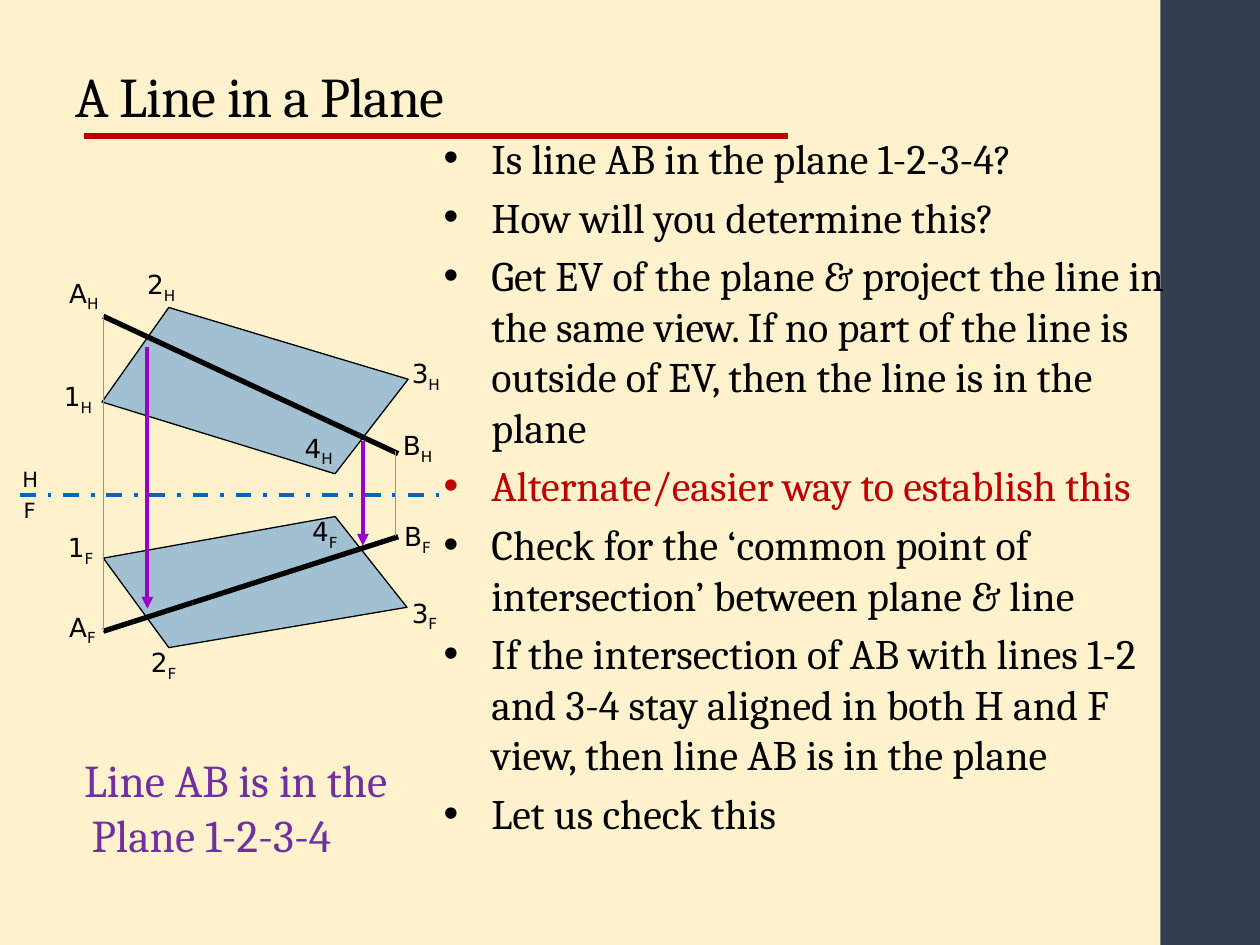
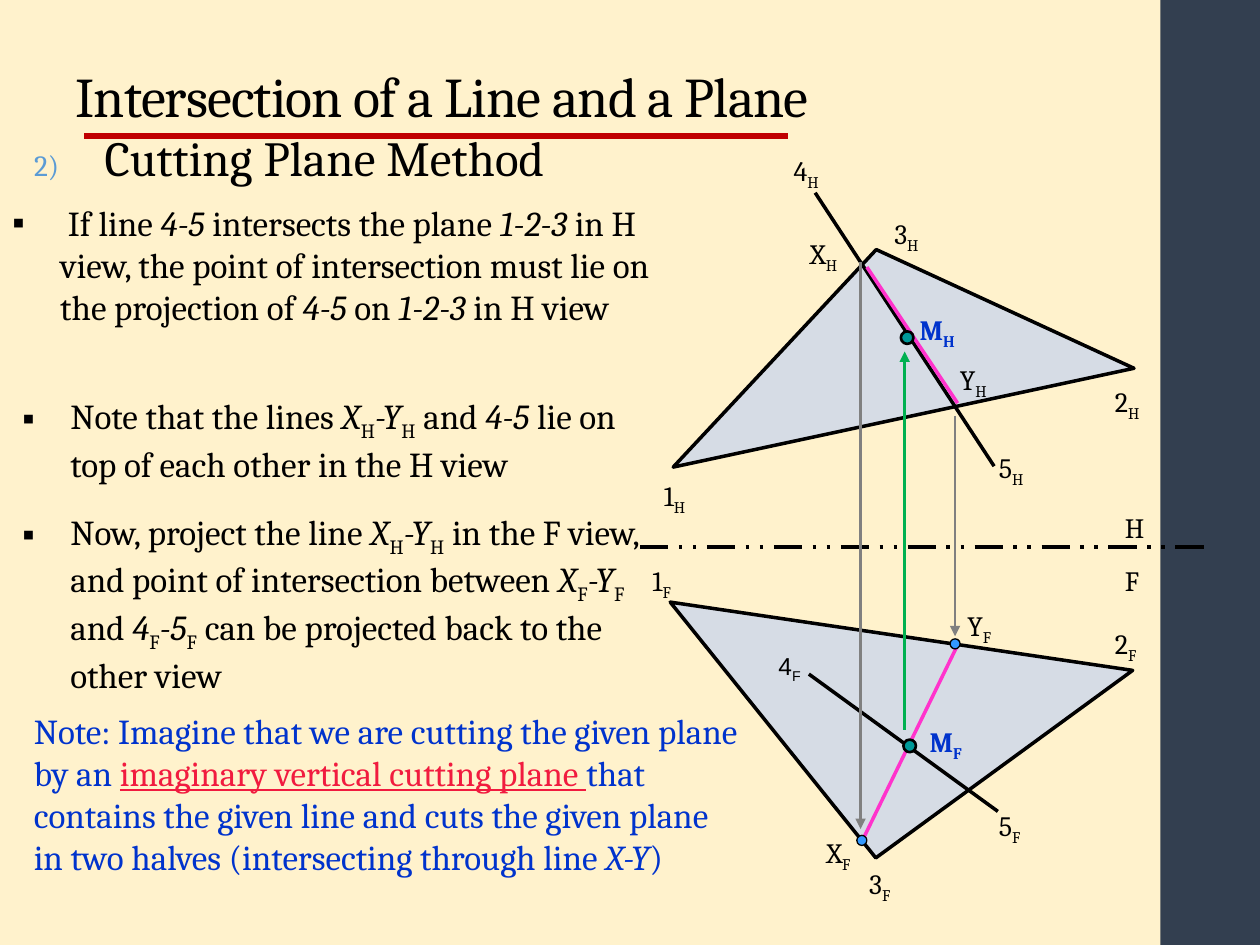
from collections import namedtuple

from lxml.etree import SubElement
from pptx import Presentation
from pptx.dml.color import RGBColor
from pptx.enum.dml import MSO_LINE
from pptx.enum.shapes import MSO_CONNECTOR, MSO_SHAPE
from pptx.enum.text import MSO_ANCHOR, MSO_AUTO_SIZE, PP_ALIGN
from pptx.oxml.ns import qn
from pptx.util import Pt

PX = 9144  # EMU in one px, 100 px to the inch

CREAM = RGBColor(0xFF, 0xF2, 0xCC)
NAVY = RGBColor(0x33, 0x3F, 0x50)
RED = RGBColor(0xC0, 0x00, 0x00)
BLACK = RGBColor(0x00, 0x00, 0x00)
SKY = RGBColor(0x5B, 0x9B, 0xD5)
PALE = RGBColor(0xD6, 0xDC, 0xE5)
VIOLET = RGBColor(0x99, 0x00, 0xCC)
PURPLE = RGBColor(0x70, 0x30, 0xA0)
FOLD_BLUE = RGBColor(0x05, 0x63, 0xC1)
ORANGE = RGBColor(0xED, 0x7D, 0x31)
GRAY = RGBColor(0x80, 0x80, 0x80)
GREEN = RGBColor(0x00, 0xB0, 0x50)
PINK = RGBColor(0xFF, 0x33, 0xCC)
DOT_BLUE = RGBColor(0x33, 0x99, 0xFF)
TEAL = RGBColor(0x00, 0x99, 0x99)
NOTE_BLUE = RGBColor(0x00, 0x33, 0xCC)
CRIMSON = RGBColor(0xF1, 0x1B, 0x3F)

Box = namedtuple("Box", "left top width height")
SLIDE = Box(0, 0, 1000, 750)


def inside(box, x, y):
    return box.left + x, box.top + y


def write(para, text, size=20, color=BLACK, font="Cambria", bold=False,
          underline=False, spacing=0):
    """Add text in which *...* is italic and ~...~ is subscript."""
    for i, piece in enumerate(text.split("*")):
        for j, part in enumerate(piece.split("~")):
            if not part:
                continue
            span = para.add_run()
            span.text = part
            span.font.size = Pt(size)
            span.font.name = font
            span.font.color.rgb = color
            span.font.bold = bold
            span.font.italic = i % 2 == 1
            span.font.underline = underline
            properties = span.font._element
            if j % 2:
                properties.set("baseline", "-25000")
            if spacing:
                properties.set("spc", str(spacing))


def set_indent(para, margin, first):
    properties = para._p.get_or_add_pPr()
    properties.set("marL", str(margin * PX))
    properties.set("indent", str(first * PX))
    return properties


def set_bullet(para, symbol, margin=38):
    properties = set_indent(para, margin, -margin)
    SubElement(properties, qn("a:buFont"), typeface="Arial")
    SubElement(properties, qn("a:buChar"), char=symbol)


def set_number(para, start, margin):
    properties = set_indent(para, margin, -margin)
    color = SubElement(properties, qn("a:buClr"))
    SubElement(color, qn("a:srgbClr"), val=str(SKY))
    SubElement(properties, qn("a:buSzPct"), val="60000")
    SubElement(properties, qn("a:buAutoNum"), type="arabicParenR", startAt=str(start))


def place(shape, box):
    shape.left, shape.top, shape.width, shape.height = (n * PX for n in box)


def set_frame(shape, anchor=MSO_ANCHOR.TOP):
    """Prepare a text frame and return its first paragraph."""
    frame = shape.text_frame
    frame.word_wrap = True
    frame.auto_size = MSO_AUTO_SIZE.NONE
    frame.vertical_anchor = anchor
    para = frame.paragraphs[0]
    para.alignment = PP_ALIGN.LEFT
    para.space_before = Pt(0)
    return para


def add_text(page, box):
    return set_frame(page.shapes.add_textbox(*(n * PX for n in box)))


def add_labels(page, box, labels, **style):
    for text, x, y in labels:
        write(add_text(page, Box(*inside(box, x, y), 50, 36)), text, **style)


def paint(shape, fill, line=None, width=1):
    shape.shadow.inherit = False
    shape.fill.solid()
    shape.fill.fore_color.rgb = fill
    if line is None:
        shape.line.fill.background()
    else:
        shape.line.color.rgb = line
        shape.line.width = Pt(width)


def add_preset(page, kind, box, fill, line=None, width=1):
    shape = page.shapes.add_shape(kind, *(n * PX for n in box))
    paint(shape, fill, line, width)
    return shape


def add_line(page, box, start, end, color=BLACK, width=2, dash=None, arrow=False):
    ends = [n * PX for n in inside(box, *start) + inside(box, *end)]
    line = page.shapes.add_connector(MSO_CONNECTOR.STRAIGHT, *ends)
    line.line.color.rgb = color
    line.line.width = Pt(width)
    if dash:
        line.line.dash_style = dash
    properties = line.element.spPr
    if arrow:
        SubElement(properties.get_or_add_ln(), qn("a:tailEnd"), type="triangle")
    SubElement(properties, qn("a:effectLst"))
    return line


def add_plane(page, box, corners):
    points = [inside(box, *corner) for corner in corners]
    builder = page.shapes.build_freeform(*points[0], scale=PX)
    builder.add_line_segments(points[1:], close=True)
    plane = builder.convert_to_shape()
    paint(plane, SKY, BLACK, 0.75)
    color = plane.element.spPr.find(".//" + qn("a:srgbClr"))
    SubElement(color, qn("a:alpha"), val="57000")


def add_triangle(page, box, rotation, apex):
    triangle = add_preset(page, MSO_SHAPE.ISOSCELES_TRIANGLE, box, PALE, BLACK, 2)
    triangle.rotation = rotation
    triangle.adjustments[0] = apex


def add_dots(page, box, dots, size, fill, width):
    for x, y in dots:
        add_preset(page, MSO_SHAPE.OVAL, Box(*inside(box, x, y), size, size),
                   fill, BLACK, width)


def dress_layout(deck, layout, page):
    """Give the layout the background, side band and title rule."""
    background = deck.slide_master.background.fill
    background.solid()
    background.fore_color.rgb = CREAM
    for holder in list(layout.placeholders)[2:]:
        layout.shapes.element.remove(holder.element)
    band = add_preset(page, MSO_SHAPE.RECTANGLE, Box(921, 0, 80, 750), NAVY)
    rule = add_line(page, SLIDE, (67, 108), (625, 108), RED, 3)
    for part in (band, rule):
        layout.shapes.element.append(part.element)


def set_title(page, text):
    title = page.shapes.title
    place(title, Box(50, 8, 795, 100))
    para = set_frame(title, MSO_ANCHOR.BOTTOM)
    para.line_spacing = 0.9
    write(para, text, size=32, spacing=-50)


def fill_questions(body, box):
    place(body, box)
    para = set_frame(body)
    questions = [
        ("Is line AB in the plane 1-2-3-4?", BLACK),
        ("How will you determine this?", BLACK),
        ("Get EV of the plane & project the line in the same view. If no part of "
         "the line is outside of EV, then the line is in the plane", BLACK),
        ("Alternate/easier way to establish this", RED),
        ("Check for the ‘common point of intersection’ between plane & line", BLACK),
        ("If the intersection of AB with lines 1-2 and 3-4 stay aligned in both "
         "H and F view, then line AB is in the plane", BLACK),
        ("Let us check this", BLACK),
    ]
    for i, (text, color) in enumerate(questions):
        if i:
            para = body.text_frame.add_paragraph()
            para.space_before = Pt(4.8)
        set_bullet(para, "•")
        write(para, text, size=24, color=color)


def draw_line_in_plane(page, box):
    a_h, b_h, a_f, b_f = (82, 51), (316, 160), (82, 301), (316, 226)
    add_plane(page, box, [(134, 44), (324, 101), (266, 176), (81, 119)])
    add_plane(page, box, [(82, 243), (266, 210), (323, 282), (134, 314)])
    add_line(page, box, a_f, b_f, width=3)
    add_line(page, box, a_h, b_h, width=3)
    add_line(page, box, (16, 193), (349, 193), FOLD_BLUE, 2.25, MSO_LINE.DASH_DOT)
    for x, top, bottom in ((117, 75, 283), (288, 150, 233)):
        add_line(page, box, (x, top), (x, bottom), VIOLET, 2.25, arrow=True)
    add_line(page, box, a_f, a_h, ORANGE, 0.75)
    add_line(page, box, (314, 225), (314, 158), ORANGE, 0.75)
    add_labels(page, box, [
        ("A~H~", 45, 15), ("B~H~", 310, 136), ("B~F~", 311, 208), ("A~F~", 45, 280),
        ("1~H~", 41, 97), ("2~H~", 107, 8), ("3~H~", 317, 79), ("4~H~", 232, 138),
        ("1~F~", 44, 217), ("2~F~", 110, 308), ("3~F~", 317, 269), ("4~F~", 238, 204),
    ], size=15, font="DejaVu Sans")
    add_labels(page, box, [("H", 8, 165), ("F", 9, 190)], size=12, font="DejaVu Sans")


def draw_cutting_plane(page, box):
    add_triangle(page, Box(*inside(box, 16, 98), 374, 135), 347.9, 0.518)
    add_triangle(page, Box(*inside(box, 17, 404), 371, 177), 188.4, 0.485)
    add_line(page, box, (8, 334), (458, 334), dash=MSO_LINE.DASH_DOT_DOT)
    add_line(page, box, (147, 53), (289, 270))
    add_line(page, box, (292, 544), (142, 435))
    for x, start, end, color in ((183, 108, 558, GRAY), (218, 479, 179, GREEN),
                                 (258, 230, 405, GRAY)):
        add_line(page, box, (x, start), (x, end), color, 1.5, arrow=True)
    add_line(page, box, (260, 412), (183, 570), PINK)
    add_line(page, box, (260, 220), (188, 112), PINK)
    add_dots(page, box, [(180, 563), (254, 407)], 8, DOT_BLUE, 0.75)
    add_dots(page, box, [(217, 487), (215, 163)], 10, TEAL, 1.5)
    add_labels(page, box, [
        ("1~H~", 17, 275), ("2~H~", 375, 200), ("3~H~", 200, 67), ("4~H~", 120, 17),
        ("5~H~", 283, 253), ("X~H~", 133, 83), ("Y~H~", 252, 183), ("H", 383, 300),
        ("1~F~", 8, 342), ("2~F~", 375, 392), ("3~F~", 180, 583), ("5~F~", 283, 537),
        ("X~F~", 146, 558), ("Y~F~", 258, 378), ("F", 383, 342),
    ], size=16)
    add_labels(page, box, [("4~F~", 108, 412)], size=14, font="Arial")
    add_labels(page, box, [("M~H~", 220, 143), ("M~F~", 228, 470)],
               size=16, color=NOTE_BLUE, bold=True)


def write_steps(page, box):
    steps = [
        (0, 0, 567, 145, " If line *4-5* intersects the plane *1-2-3* in H view, the point of "
         "intersection must lie on the projection of *4-5* on *1-2-3* in H view"),
        (8, 153, 533, 77, "Note that the lines *X*~H~*-Y*~H~ and *4-5* lie on top of "
         "each other in the H view"),
        (8, 245, 517, 145, "Now, project the line *X*~H~*-Y*~H~ in the F view, and point of "
         "intersection between *X*~F~*-Y*~F~ and *4*~F~*-5*~F~ can be projected "
         "back to the other view"),
    ]
    for x, y, width, height, text in steps:
        para = add_text(page, Box(*inside(box, x, y), width, height))
        set_bullet(para, "▪")
        write(para, text)


def write_note(page, box):
    para = add_text(page, box)
    write(para, "Note: Imagine that we are cutting the given plane by an ", color=NOTE_BLUE)
    write(para, "imaginary vertical cutting plane ", color=CRIMSON, underline=True)
    write(para, "that contains the given line and cuts the given plane in two halves "
          "(intersecting through line *X-Y*)", color=NOTE_BLUE)


def fill_line_page(page):
    set_title(page, "A Line in a Plane")
    fill_questions(page.placeholders[1], Box(342, 100, 592, 608))
    draw_line_in_plane(page, Box(0, 200, 360, 350))
    para = add_text(page, Box(25, 592, 367, 100))
    set_indent(para, 38, -6)
    write(para, "Line AB is in the Plane 1-2-3-4", size=26, color=PURPLE)


def fill_cutting_page(page):
    set_title(page, "Intersection of a Line and a Plane")
    body = page.placeholders[1]
    place(body, Box(17, 100, 900, 75))
    para = set_frame(body)
    para.line_spacing = 0.95
    set_number(para, 2, 56)
    write(para, "Cutting Plane Method", size=28, spacing=10)
    draw_cutting_plane(page, Box(500, 100, 460, 620))
    write_steps(page, Box(0, 155, 567, 390))
    write_note(page, Box(17, 558, 583, 185))


def main():
    deck = Presentation()
    deck.slide_width, deck.slide_height = SLIDE.width * PX, SLIDE.height * PX
    layout = deck.slide_layouts[1]
    line_page, cutting_page = (deck.slides.add_slide(layout) for _ in range(2))
    dress_layout(deck, layout, line_page)
    fill_line_page(line_page)
    fill_cutting_page(cutting_page)
    deck.save("out.pptx")


if __name__ == "__main__":
    main()
